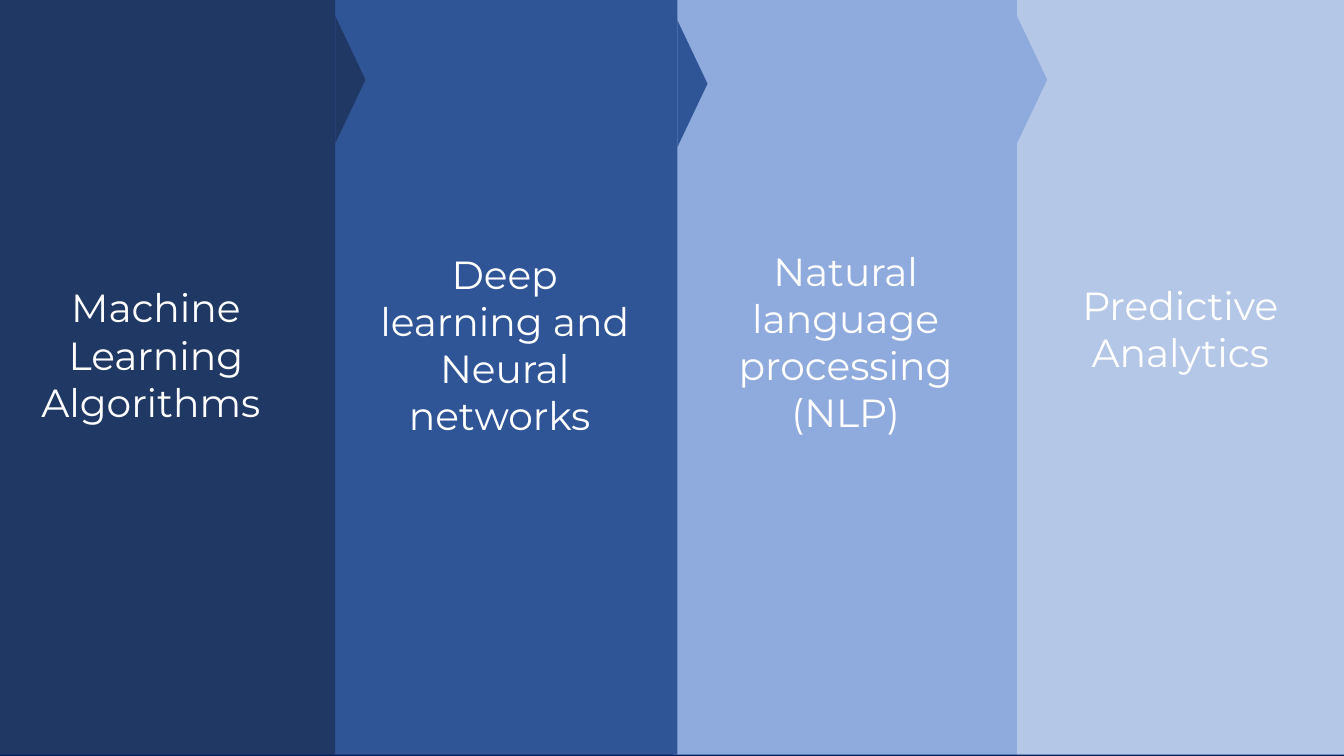
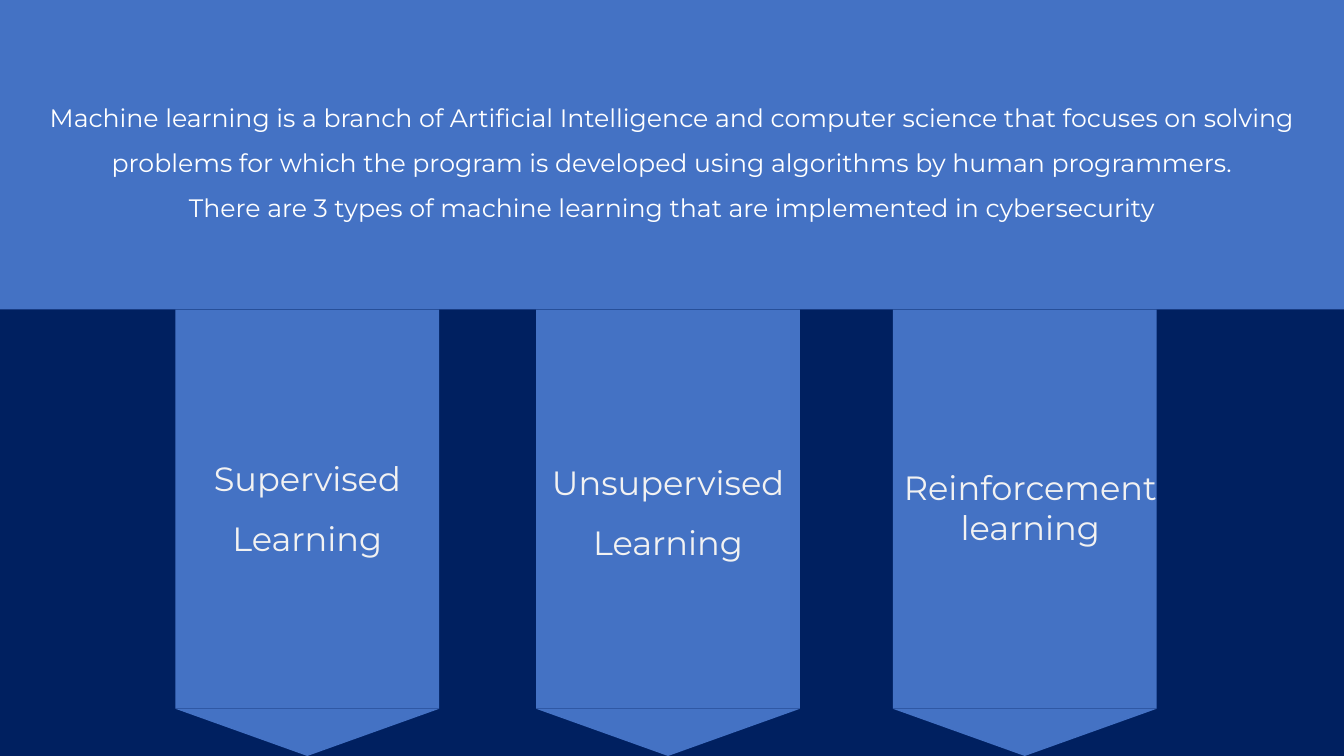
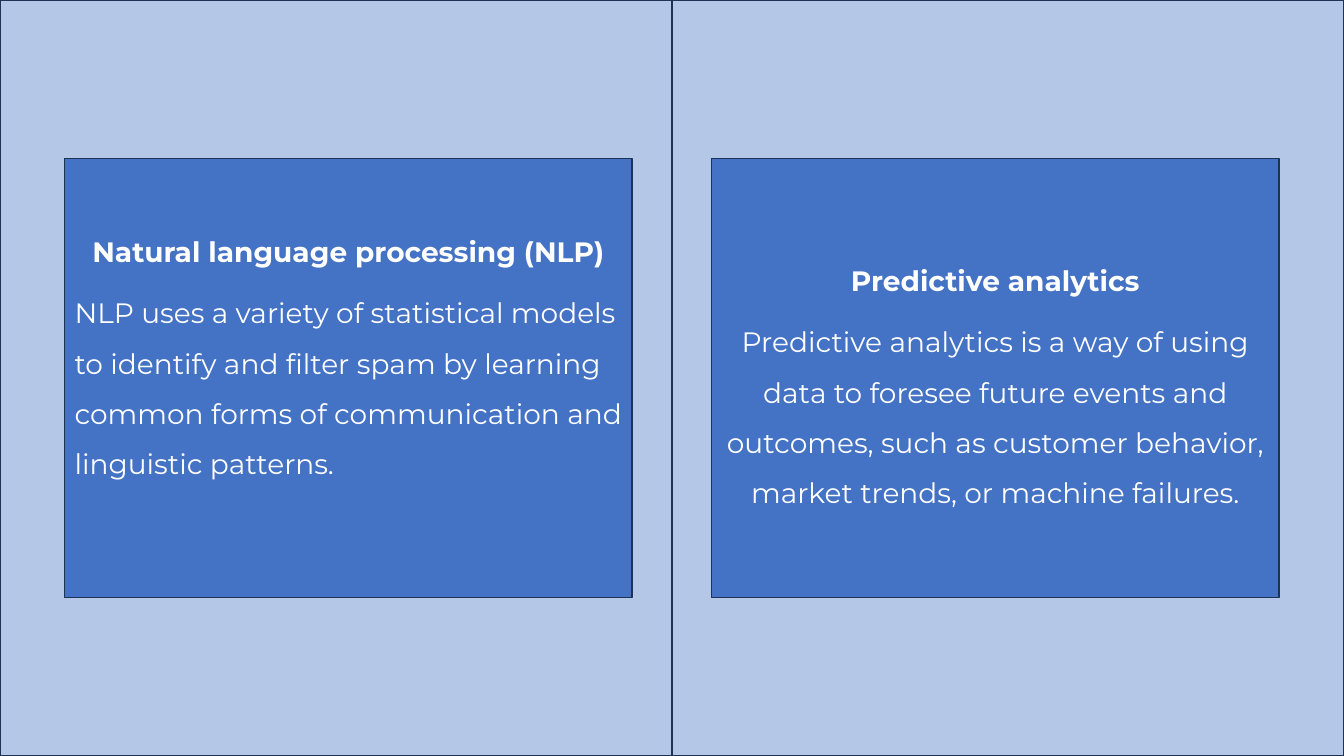
import pptx
import pptx.dml.color
import pptx.enum.shapes
import pptx.enum.text
import pptx.util

Cm = pptx.util.Cm
Pt = pptx.util.Pt
Shape = pptx.enum.shapes.MSO_SHAPE
Align = pptx.enum.text.PP_ALIGN
Anchor = pptx.enum.text.MSO_ANCHOR

# Shared style, lengths in centimetres
WIDTH, HEIGHT = 33.87, 19.05
FONT = "Montserrat"
NAVY, BLUE, PALE = "002060", "4472C4", "B4C7E7"
WHITE, SOFT_WHITE, OUTLINE = "FFFFFF", "F2F2F2", "1E3256"


def color(value):
    return pptx.dml.color.RGBColor.from_string(value)


def add_page(deck, background=WHITE):
    page = deck.slides.add_slide(deck.slide_layouts[6])
    page.background.fill.solid()
    page.background.fill.fore_color.rgb = color(background)
    return page


def add_block(page, kind, left, top, width, height, fill, line=None, rotation=0):
    block = page.shapes.add_shape(kind, Cm(left), Cm(top), Cm(width), Cm(height))
    block.shadow.inherit = False
    block.rotation = rotation
    block.fill.solid()
    block.fill.fore_color.rgb = color(fill)
    if line:
        block.line.color.rgb = color(line)
        block.line.width = Pt(1)
    else:
        block.line.fill.background()
    return block


def write(box, text, size, ink=WHITE, spacing=1.0, after=0, anchor=Anchor.MIDDLE):
    """Fill a box with centred paragraphs, one for each line of text."""
    frame = box.text_frame
    frame.word_wrap = True
    frame.vertical_anchor = anchor
    frame.text = text
    for para in frame.paragraphs:
        para.alignment = Align.CENTER
        para.line_spacing = spacing
        para.space_after = Pt(after)
        for span in para.runs:
            span.font.name = FONT
            span.font.size = Pt(size)
            span.font.color.rgb = color(ink)
    return frame.paragraphs


# Slide 1: four columns, each pointing to the next
def add_column(page, left, width, fill, text, label_box, arrow_middle):
    add_block(page, Shape.RECTANGLE, left, 0, width, 19.02, fill)
    label_left, label_top, label_width = label_box
    label = page.shapes.add_textbox(
        Cm(left + label_left), Cm(label_top), Cm(label_width), Cm(8.1))
    write(label, text, 28)
    if arrow_middle:
        # Turned a quarter, the triangle stands with its base on the right edge
        base, depth = 3.2, 0.76
        add_block(page, Shape.ISOSCELES_TRIANGLE,
                  left + width + (depth - base) / 2, arrow_middle - depth / 2,
                  base, depth, fill, rotation=90)


def build_topics(deck):
    page = add_page(deck, NAVY)
    columns = [
        (0, 8.45, "203864", "Machine Learning Algorithms ", (0.3, 4.88, 7.26), 2.01),
        (8.41, 8.66, "2F5597", "Deep learning and Neural networks ",
         (0.68, 4.62, 7.26), 2.11),
        (16.97, 8.66, "8FAADC", "Natural language processing (NLP)",
         (0.71, 4.55, 7.26), 2.01),
        (25.63, WIDTH - 25.63, PALE, "Predictive Analytics", (0.56, 4.22, 7.11), None),
    ]
    # Right to left, so that each arrow lies over the next column
    for column in reversed(columns):
        add_column(page, *column)


# Slide 2: an introduction with three hanging banners
def add_banner(page, left, top, text, label_top, label_width, spacing):
    width, tip = 6.65, 1.19
    add_block(page, Shape.RECTANGLE, left, top, width, HEIGHT - tip - top, BLUE)
    add_block(page, Shape.ISOSCELES_TRIANGLE, left, HEIGHT - tip, width, tip, BLUE,
              rotation=180)
    label = page.shapes.add_textbox(
        Cm(left), Cm(top + label_top), Cm(label_width), Cm(3.15))
    write(label, text, 24, SOFT_WHITE, spacing, anchor=Anchor.TOP)


def build_learning_types(deck):
    page = add_page(deck, NAVY)
    intro_height = 7.8
    for left, text, label_top, label_width, spacing in [
        (4.42, "Supervised Learning", 3.1, 6.65, 1.5),
        (13.51, "Unsupervised Learning", 3.2, 6.65, 1.5),
        (22.5, "Reinforcement learning", 3.83, 6.93, 1.0),
    ]:
        add_banner(page, left, intro_height, text, label_top, label_width, spacing)
    intro = add_block(page, Shape.RECTANGLE, 0, 0, WIDTH, intro_height, BLUE)
    write(intro,
          "Machine learning is a branch of Artificial Intelligence and computer science "
          "that focuses on solving problems for which the program is developed using "
          "algorithms by human programmers.\n"
          "There are 3 types of machine learning that are implemented in cybersecurity",
          18, spacing=1.5)


# Slide 3: two halves, each with a card
def add_half(page, left, card_left, heading, body, alignment, bottom_inset):
    add_block(page, Shape.RECTANGLE, left, 0, WIDTH / 2, HEIGHT, PALE, OUTLINE)
    card = add_block(page, Shape.RECTANGLE, left + card_left, 3.99, 14.3, 11.07,
                     BLUE, OUTLINE)
    card.text_frame.margin_bottom = Cm(bottom_inset)
    title, detail = write(card, heading + "\n" + body, 20, spacing=1.5, after=8)
    title.runs[0].font.bold = True
    detail.alignment = alignment


def build_details(deck):
    page = add_page(deck)
    add_half(page, 0, 1.63, "Natural language processing (NLP)",
             "NLP uses a variety of statistical models to identify and filter spam by "
             "learning common forms of communication and linguistic patterns.",
             Align.LEFT, 1.59)
    add_half(page, WIDTH / 2, 1, "Predictive analytics",
             "Predictive analytics is a way of using data to foresee future events and "
             "outcomes, such as customer behavior, market trends, or machine failures.",
             Align.CENTER, 0.13)


def main():
    deck = pptx.Presentation()
    deck.slide_width, deck.slide_height = Cm(WIDTH), Cm(HEIGHT)
    build_topics(deck)
    build_learning_types(deck)
    build_details(deck)
    deck.save("out.pptx")


if __name__ == "__main__":
    main()
